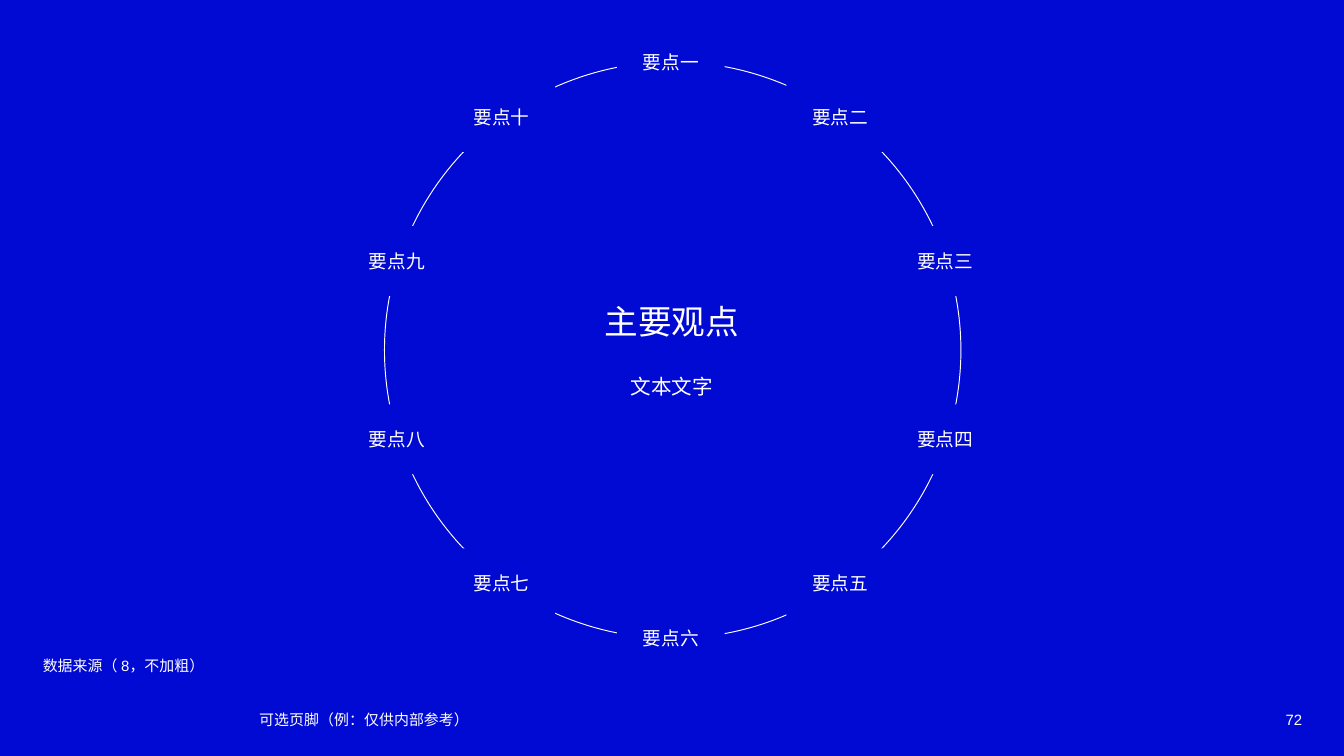
"""Build a slide with ten points arranged on a ring around a main idea."""
import dataclasses
import math
import typing

import lxml.etree
import pptx
import pptx.dml.color
import pptx.enum.shapes
import pptx.enum.text
import pptx.oxml.ns
import pptx.util

Pt = pptx.util.Pt
Align = pptx.enum.text.PP_ALIGN
Anchor = pptx.enum.text.MSO_ANCHOR
Shape = pptx.enum.shapes.MSO_SHAPE

COLORS = {"blue": "000AD2", "white": "FFFFFF"}
CJK_FONT = "Noto Sans CJK SC"
SLIDE_WIDTH, SLIDE_HEIGHT = 720, 405
RING_X, RING_Y, RING_RADIUS = 360.4, 187.6, 154.4
LABEL_X, LABEL_WIDTH, LABEL_HEIGHT = 359.4, 57.6, 37.4
POINTS = ("要点一", "要点二", "要点三", "要点四", "要点五",
          "要点六", "要点七", "要点八", "要点九", "要点十")


@dataclasses.dataclass
class Frame:
    """Position and size in points."""
    left: float
    top: float
    width: float
    height: float

    def lengths(self) -> list:
        """Return the four lengths as slide units."""
        return [Pt(value) for value in dataclasses.astuple(self)]


@dataclasses.dataclass
class Line:
    """One paragraph of text and its format."""
    text: str
    size: float
    align: typing.Any = Align.LEFT
    font: str = "Arial"
    space_before: float = 0
    spacing: float = 1.0


def color(name: str) -> pptx.dml.color.RGBColor:
    """Look up a named colour."""
    return pptx.dml.color.RGBColor.from_string(COLORS[name])


def write(box, lines: typing.Sequence[Line], anchor=Anchor.MIDDLE, inset: float = 0) -> None:
    """Fill a box with formatted paragraphs."""
    frame = box.text_frame
    frame.word_wrap = True
    frame.auto_size = pptx.enum.text.MSO_AUTO_SIZE.NONE
    frame.vertical_anchor = anchor
    frame.margin_left = frame.margin_right = Pt(inset)
    frame.margin_top = frame.margin_bottom = Pt(inset)
    for index, line in enumerate(lines):
        para = frame.add_paragraph() if index else frame.paragraphs[0]
        para.alignment = line.align
        para.space_before = Pt(line.space_before)
        para.line_spacing = line.spacing
        span = para.add_run()
        span.text = line.text
        span.font.size = Pt(line.size)
        span.font.name = line.font
        span.font.color.rgb = color("white")
        east_asian = lxml.etree.SubElement(span.font._element, pptx.oxml.ns.qn("a:ea"))
        east_asian.set("typeface", CJK_FONT)


def add_panel(page, frame: Frame):
    """Add a plain blue rectangle."""
    panel = page.shapes.add_shape(Shape.RECTANGLE, *frame.lengths())
    panel.shadow.inherit = False
    panel.fill.solid()
    panel.fill.fore_color.rgb = color("blue")
    panel.line.fill.background()
    return panel


def add_ring(page) -> None:
    """Add the outlined circle."""
    diameter = 2 * RING_RADIUS
    frame = Frame(RING_X - RING_RADIUS, RING_Y - RING_RADIUS, diameter, diameter)
    ring = page.shapes.add_shape(Shape.OVAL, *frame.lengths())
    ring.shadow.inherit = False
    ring.fill.background()
    ring.line.color.rgb = color("white")
    ring.line.width = Pt(0.5)


def add_points(page) -> None:
    """Space the labels evenly clockwise from the top of the ring."""
    for index, text in enumerate(POINTS):
        angle = 2 * math.pi * index / len(POINTS)
        left = LABEL_X + RING_RADIUS * math.sin(angle) - LABEL_WIDTH / 2
        top = RING_Y - RING_RADIUS * math.cos(angle) - LABEL_HEIGHT / 2
        label = add_panel(page, Frame(left, top, LABEL_WIDTH, LABEL_HEIGHT))
        write(label, [Line(text, 10, Align.CENTER, CJK_FONT)], inset=1.4)


def add_caption(page, frame: Frame, line: Line) -> None:
    """Add a one-line text box."""
    write(page.shapes.add_textbox(*frame.lengths()), [line])


def place(placeholder, frame: Frame) -> None:
    """Move a placeholder to its frame and to the front."""
    placeholder.left, placeholder.top, placeholder.width, placeholder.height = frame.lengths()
    placeholder.element.getparent().append(placeholder.element)


def fill_source(body) -> None:
    """Write the data source without a bullet."""
    place(body, Frame(22.9, 323.3, 674.8, 38))
    properties = body.text_frame.paragraphs[0]._p.get_or_add_pPr()
    properties.set("marL", "0")
    properties.set("indent", "0")
    lxml.etree.SubElement(properties, pptx.oxml.ns.qn("a:buNone"))
    write(body, [Line("数据来源（ 8，不加粗）", 8, spacing=1.1)], Anchor.BOTTOM)


def fill_title(title) -> None:
    """Write the main idea in the middle of the ring."""
    place(title, Frame(254.9, 159.1, 210.2, 57))
    write(title, [Line("主要观点", 18, Align.CENTER),
                  Line("文本文字", 11, Align.CENTER, space_before=17.5)])


def main() -> None:
    """Build and save the deck."""
    deck = pptx.Presentation()
    deck.slide_width, deck.slide_height = Pt(SLIDE_WIDTH), Pt(SLIDE_HEIGHT)
    page = deck.slides.add_slide(deck.slide_layouts[1])
    title, body = page.shapes.title, page.placeholders[1]
    add_panel(page, Frame(0, 0, SLIDE_WIDTH, SLIDE_HEIGHT))
    add_ring(page)
    add_points(page)
    add_caption(page, Frame(138.9, 380.2, 465, 10.8), Line("可选页脚（例：仅供内部参考）", 8))
    add_caption(page, Frame(669.6, 380.2, 28.1, 10.8), Line("72", 8, Align.RIGHT))
    fill_source(body)
    fill_title(title)
    deck.save("out.pptx")


if __name__ == "__main__":
    main()
